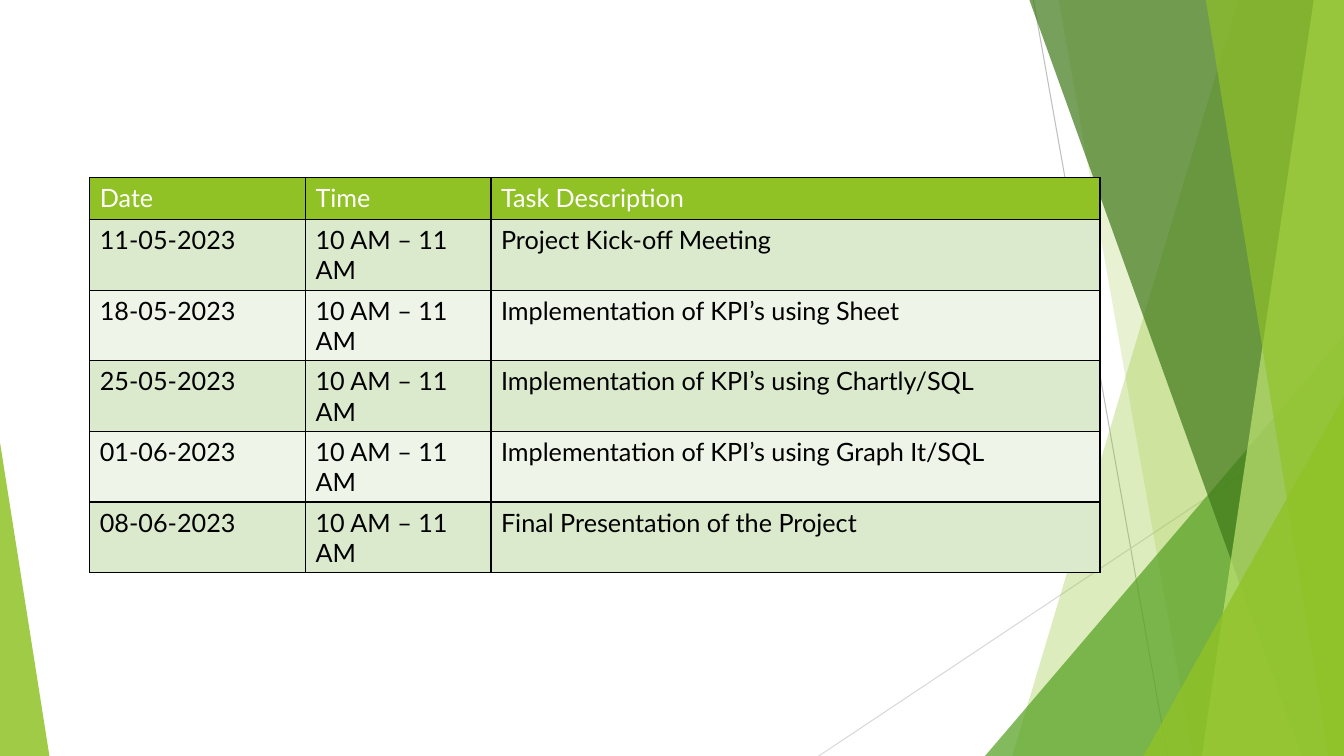
import lxml.etree
import pptx
import pptx.dml.color
import pptx.enum.shapes
import pptx.oxml.ns
import pptx.util

WIDTH, HEIGHT = 13.33, 7.5
FONT = "Lato"
COLORS = {
    "lime": "90C226", "green": "54A021", "forest": "3F7819", "pale": "C0E474",
    "near_line": "BFBFBF", "far_line": "D9D9D9", "border": "000000",
    "text": "000000", "header_text": "FFFFFF",
    "odd_row": "DBE9CD", "even_row": "EEF4E8",
}
COLUMN_WIDTHS = [2.14, 1.84, 6.04]
HEADER_HEIGHT, ROW_HEIGHT = 0.42, 0.7
HEADINGS = ("Date", "Time", "Task Description")
TIME = "10 AM – 11 AM"
TASKS = [
    ("11-05-2023", "Project Kick-off Meeting"),
    ("18-05-2023", "Implementation of KPI’s using Sheet"),
    ("25-05-2023", "Implementation of KPI’s using Chartly/SQL"),
    ("01-06-2023", "Implementation of KPI’s using Graph It/SQL"),
    ("08-06-2023", "Final Presentation of the Project"),
]


def inches(*lengths):
    return [pptx.util.Inches(length) for length in lengths]


def rgb(name):
    return pptx.dml.color.RGBColor.from_string(COLORS[name])


def add_child(parent, tag, **attributes):
    return lxml.etree.SubElement(parent, pptx.oxml.ns.qn(tag), attributes)


def paint(shape, color, opacity):
    """Fill a shape without outline; opacity is a percentage."""
    shape.shadow.inherit = False
    shape.line.fill.background()
    shape.fill.solid()
    shape.fill.fore_color.rgb = rgb(color)
    color_element = shape.fill._xPr.find(".//" + pptx.oxml.ns.qn("a:srgbClr"))
    add_child(color_element, "a:alpha", val=str(opacity * 1000))


def add_thin_line(slide, start, end, color):
    line = slide.shapes.add_connector(
        pptx.enum.shapes.MSO_CONNECTOR.STRAIGHT, *inches(*start, *end))
    line.line.color.rgb = rgb(color)
    line.line.width = pptx.util.Pt(0.75)
    add_child(line._element.spPr, "a:effectLst")


def add_panel(slide, top_left, bottom_left, color, opacity):
    """Add a full-height panel with a slanted left side, flush right."""
    builder = slide.shapes.build_freeform(*inches(top_left, 0))
    corners = [(WIDTH, 0), (WIDTH, HEIGHT), (bottom_left, HEIGHT)]
    builder.add_line_segments([inches(*corner) for corner in corners])
    paint(builder.convert_to_shape(), color, opacity)


def add_corner(slide, left, width, height, apex, color, opacity):
    """Add a triangle on the slide's bottom edge; apex is a share of width."""
    triangle = slide.shapes.add_shape(
        pptx.enum.shapes.MSO_SHAPE.ISOSCELES_TRIANGLE,
        *inches(left, HEIGHT - height, width, height))
    triangle.adjustments[0] = apex
    paint(triangle, color, opacity)


def add_decoration(slide):
    add_thin_line(slide, (10.25, 0), (11.58, HEIGHT), "near_line")
    add_thin_line(slide, (WIDTH, 4.03), (8.12, HEIGHT), "far_line")
    add_panel(slide, 12.28, 10.04, "lime", 30)
    add_panel(slide, 10.5, 11.83, "lime", 20)
    add_corner(slide, 9.77, 3.56, 4.17, 1, "green", 72)
    add_panel(slide, 10.21, 12.91, "forest", 70)
    add_panel(slide, 13.03, 11.92, "pale", 70)
    add_panel(slide, 11.96, 13.18, "lime", 65)
    add_corner(slide, 11.34, 1.99, 3.57, 1, "lime", 80)
    add_corner(slide, 0, 0.49, 3.11, 0, "lime", 85)


def add_borders(cell):
    properties = cell._tc.get_or_add_tcPr()
    for position, side in enumerate(("a:lnL", "a:lnR", "a:lnT", "a:lnB")):
        border = add_child(properties, side, w=str(pptx.util.Pt(1)))
        fill = add_child(border, "a:solidFill")
        add_child(fill, "a:srgbClr", val=COLORS["border"])
        properties.insert(position, border)


def format_cell(cell, text, fill, text_color):
    cell.fill.solid()
    cell.fill.fore_color.rgb = rgb(fill)
    add_borders(cell)
    cell.text = text
    font = cell.text_frame.paragraphs[0].font
    font.name, font.size, font.bold = FONT, pptx.util.Pt(18), False
    font.color.rgb = rgb(text_color)


def add_schedule(slide):
    rows = [HEADINGS] + [(date, TIME, task) for date, task in TASKS]
    heights = [HEADER_HEIGHT] + [ROW_HEIGHT] * len(TASKS)
    table = slide.shapes.add_table(
        len(rows), len(HEADINGS),
        *inches(0.89, 1.76, sum(COLUMN_WIDTHS), sum(heights))).table
    for column, width in zip(table.columns, COLUMN_WIDTHS):
        column.width = pptx.util.Inches(width)
    for row_index, (texts, height) in enumerate(zip(rows, heights)):
        table.rows[row_index].height = pptx.util.Inches(height)
        if row_index == 0:
            fill, text_color = "lime", "header_text"
        else:
            fill = "odd_row" if row_index % 2 else "even_row"
            text_color = "text"
        for column_index, text in enumerate(texts):
            format_cell(table.cell(row_index, column_index), text, fill, text_color)


def main():
    deck = pptx.Presentation()
    deck.slide_width, deck.slide_height = inches(WIDTH, HEIGHT)
    slide = deck.slides.add_slide(deck.slide_layouts[6])
    add_decoration(slide)
    add_schedule(slide)
    deck.save("out.pptx")


if __name__ == "__main__":
    main()
